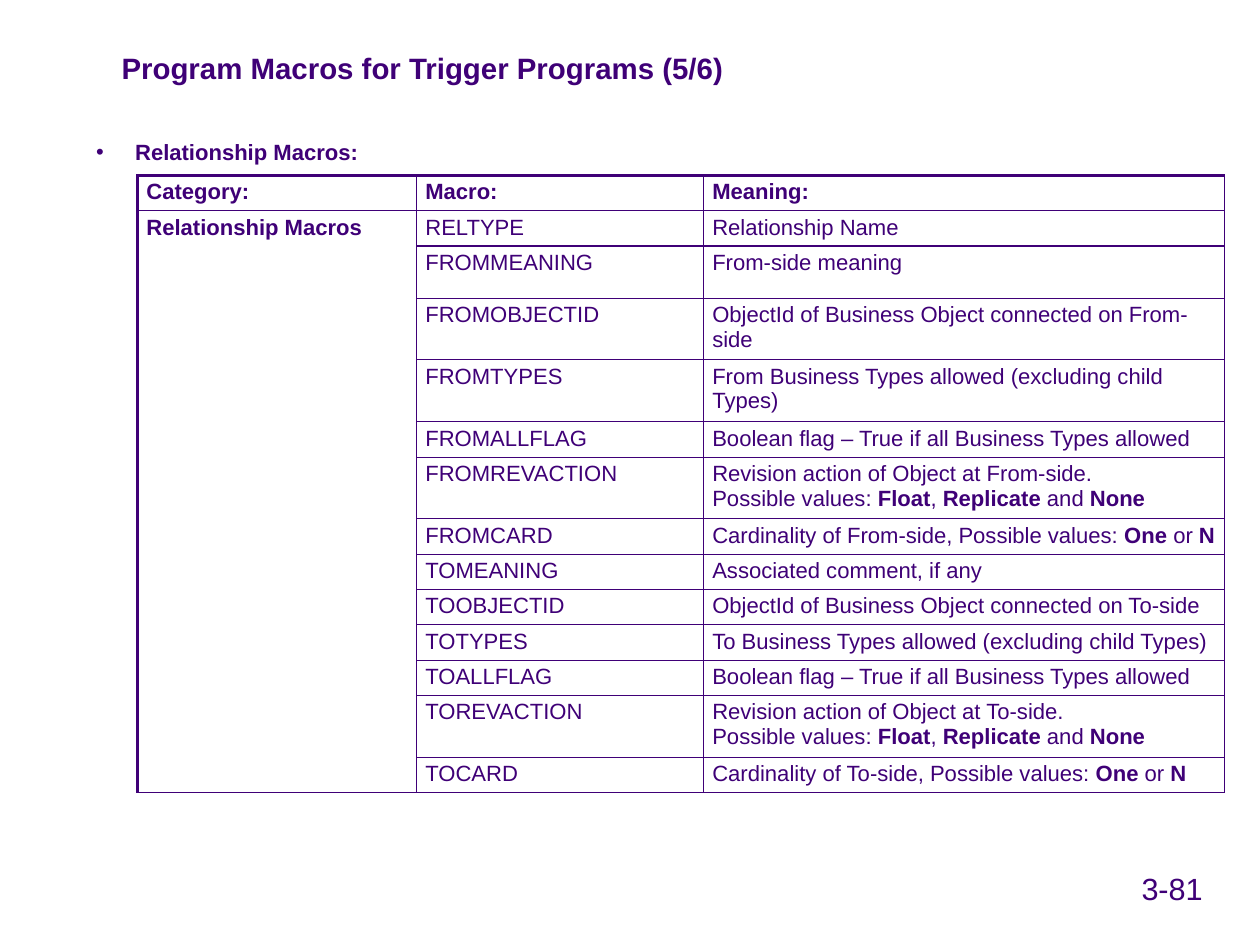
from dataclasses import dataclass

from lxml import etree
from pptx import Presentation
from pptx.dml.color import RGBColor
from pptx.enum.text import MSO_ANCHOR
from pptx.oxml.ns import qn
from pptx.util import Cm, Pt

TOP = MSO_ANCHOR.TOP
MIDDLE = MSO_ANCHOR.MIDDLE
BLANK = 6


@dataclass(frozen=True)
class Theme:
    font: str = "Arial"
    ink: str = "3F0077"
    title: float = 24
    body: float = 18
    number: float = 25
    thin: float = 1
    thick: float = 2.25


THEME = Theme()

COL_WIDTHS = (8.03, 8.26, 15.01)
ONE_LINE, TWO_LINES = 0.96, 1.68
HEADINGS = ("**Category:**", "**Macro:**", "**Meaning:**")
CATEGORY = "**Relationship Macros**"
REVISION_VALUES = "Possible values: **Float**, **Replicate** and **None**"
CARD_VALUES = "Possible values: **One** or **N**"
ALL_ALLOWED = "Boolean flag – True if all Business Types allowed"
MACROS = (
    ("RELTYPE", "Relationship Name", ONE_LINE),
    ("FROMMEANING", "From-side meaning", 1.5),
    ("FROMOBJECTID", "ObjectId of Business Object connected on From-side", TWO_LINES),
    ("FROMTYPES", "From Business Types allowed (excluding child Types)", TWO_LINES),
    ("FROMALLFLAG", ALL_ALLOWED, 1.02),
    ("FROMREVACTION", f"Revision action of Object at From-side.\n{REVISION_VALUES}", TWO_LINES),
    ("FROMCARD", f"Cardinality of From-side, {CARD_VALUES}", ONE_LINE),
    ("TOMEANING", "Associated comment, if any", ONE_LINE),
    ("TOOBJECTID", "ObjectId of Business Object connected on To-side", ONE_LINE),
    ("TOTYPES", "To Business Types allowed (excluding child Types)", ONE_LINE),
    ("TOALLFLAG", ALL_ALLOWED, ONE_LINE),
    ("TOREVACTION", f"Revision action of Object at To-side.\n{REVISION_VALUES}", TWO_LINES),
    ("TOCARD", f"Cardinality of To-side, {CARD_VALUES}", ONE_LINE),
)


def write(p, text, size):
    for n, line in enumerate(text.split("\n")):
        if n:
            p.add_line_break()
        for i, part in enumerate(line.split("**")):
            if not part:
                continue
            r = p.add_run()
            r.text = part
            values = {"name": THEME.font, "size": Pt(size), "bold": i % 2 == 1}
            for name, value in values.items():
                setattr(r.font, name, value)
            r.font.color.rgb = RGBColor.from_string(THEME.ink)


def add_text(slide, box, text, size, inset=(0.25, 0.13), anchor=TOP):
    sp = slide.shapes.add_textbox(*map(Cm, box))
    tf = sp.text_frame
    across, down = map(Cm, inset)
    values = {
        "word_wrap": True,
        "vertical_anchor": anchor,
        "margin_left": across,
        "margin_right": across,
        "margin_top": down,
        "margin_bottom": down,
    }
    for name, value in values.items():
        setattr(tf, name, value)
    p = tf.paragraphs[0]
    write(p, text, size)
    return p


def add_bullet(p, indent):
    pPr = p._p.get_or_add_pPr()
    pPr.set("marL", str(Cm(indent)))
    pPr.set("indent", str(-Cm(indent)))
    etree.SubElement(pPr, qn("a:buFont"), typeface=THEME.font)
    etree.SubElement(pPr, qn("a:buChar"), char="•")


def set_borders(cell, widths):
    tcPr = cell._tc.get_or_add_tcPr()
    for i, (side, width) in enumerate(widths.items()):
        ln = etree.Element(qn(f"a:ln{side}"), w=str(Pt(width)))
        fill = etree.SubElement(ln, qn("a:solidFill"))
        etree.SubElement(fill, qn("a:srgbClr"), val=THEME.ink)
        tcPr.insert(i, ln)


def macro_table(slide, box):
    left, top, width = box
    heights = [ONE_LINE] + [height for _, _, height in MACROS]
    rows = [HEADINGS] + [("", macro, meaning) for macro, meaning, _ in MACROS]
    rows[1] = (CATEGORY, *rows[1][1:])
    frame = slide.shapes.add_table(
        len(rows), len(COL_WIDTHS), Cm(left), Cm(top), Cm(width), Cm(sum(heights))
    )
    table = frame.table
    table.first_row = table.horz_banding = False
    for column, col_width in zip(table.columns, COL_WIDTHS):
        column.width = Cm(col_width)
    for y, (texts, height) in enumerate(zip(rows, heights)):
        table.rows[y].height = Cm(height)
        for x, text in enumerate(texts):
            cell = table.cell(y, x)
            cell.fill.background()
            write(cell.text_frame.paragraphs[0], text, THEME.body)
            set_borders(cell, {
                "L": THEME.thin if x else THEME.thick,
                "R": THEME.thin,
                "T": THEME.thin if y else THEME.thick,
                "B": THEME.thin,
            })
    table.cell(1, 0).merge(table.cell(len(rows) - 1, 0))


def macro_section(slide, box):
    left, top, _, _ = box
    p = add_text(slide, box, "**Relationship Macros:**", THEME.body, inset=(0, 0))
    add_bullet(p, 1.12)
    macro_table(slide, (left + 1.19, top + 1.06, sum(COL_WIDTHS)))


def macro_slide(prs, box):
    left, top, width, height = box
    slide = prs.slides.add_slide(prs.slide_layouts[BLANK])
    add_text(slide, (left + 3.25, top + 1.3, width - 4.6, 1.3),
             "**Program Macros for Trigger Programs (5/6)**", THEME.title, anchor=MIDDLE)
    macro_section(slide, (left + 2.77, top + 3.99, width - 4.11, height - 5.26))
    add_text(slide, (left + width - 3.66, top + height - 2.18, 2.36, 1.32),
             "3-81", THEME.number)


def main():
    width, height = 36.27, 27.1
    prs = Presentation()
    prs.slide_width, prs.slide_height = Cm(width), Cm(height)
    macro_slide(prs, (0, 0, width, height))
    prs.save("out.pptx")


if __name__ == "__main__":
    main()
